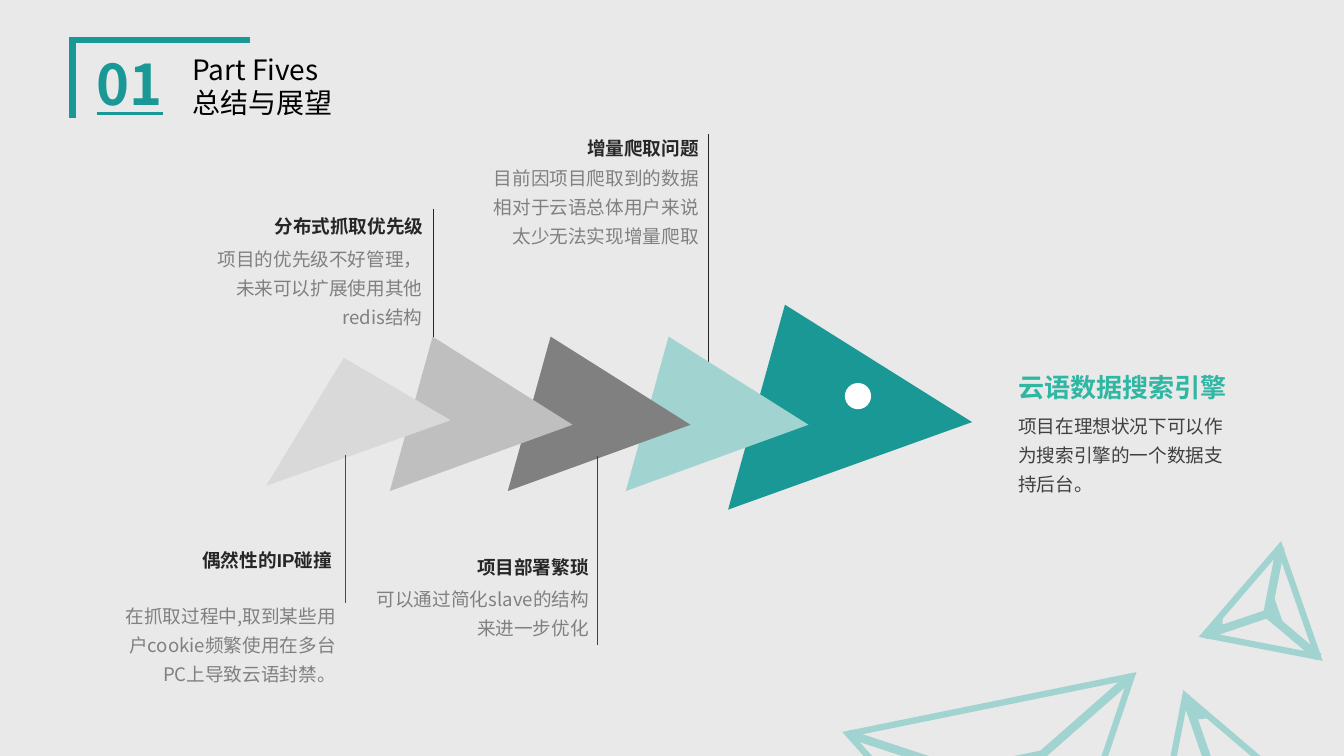
"""Builds the summary and outlook slide with five arrows and their notes."""
from lxml import etree
from pptx import Presentation
from pptx.dml.color import RGBColor
from pptx.enum.shapes import MSO_CONNECTOR, MSO_SHAPE
from pptx.enum.text import MSO_AUTO_SIZE, PP_ALIGN
from pptx.oxml.ns import qn
from pptx.util import Inches, Pt

TRIANGLE, OVAL = MSO_SHAPE.ISOSCELES_TRIANGLE, MSO_SHAPE.OVAL
STRAIGHT = MSO_CONNECTOR.STRAIGHT
GROW = MSO_AUTO_SIZE.SHAPE_TO_FIT_TEXT
LEFT, RIGHT = PP_ALIGN.LEFT, PP_ALIGN.RIGHT

SANS = "Noto Sans CJK SC"
TEAL, PALE, PAPER, INK, GREY = "1A9895", "A1D3D0", "E9E9E9", "262626", "808080"

FORMATS = {
    "number": ({"name": SANS, "size": Pt(40), "bold": True, "underline": True}, TEAL),
    "title": ({"name": SANS, "size": Pt(20)}, "000000"),
    "heading": ({"name": "Arial", "size": Pt(13.3), "bold": True}, INK),
    "note": ({"name": SANS, "size": Pt(13.3)}, GREY),
    "goal": ({"name": SANS, "size": Pt(18.6), "bold": True}, "2FB7A3"),
    "goal note": ({"name": SANS, "size": Pt(13.3)}, "404040"),
}


def rgb(code):
    """Turn a hex string into a colour."""
    return RGBColor.from_string(code)


class Canvas:
    """Holds the slide and draws each kind of element in its style."""

    def __init__(self, slide, background):
        """Keep the slide and colour its background."""
        self.slide = slide
        self.shapes = slide.shapes
        slide.background.fill.solid()
        slide.background.fill.fore_color.rgb = rgb(background)

    def paint(self, shape, fill=None, line=None, weight=0):
        """Set fill and outline and remove the shadow."""
        shape.shadow.inherit = False
        if fill:
            shape.fill.solid()
            shape.fill.fore_color.rgb = rgb(fill)
        else:
            shape.fill.background()
        if line:
            shape.line.color.rgb = rgb(line)
            shape.line.width = Pt(weight)
            outline = shape.line._get_or_add_ln()
            etree.SubElement(outline, qn("a:miter"), lim="800000")
        else:
            shape.line.fill.background()

    def preset(self, kind, box, turn=0, apex=None, **paint):
        """Add a preset shape."""
        shape = self.shapes.add_shape(kind, *map(Inches, box))
        shape.rotation = turn
        if apex is not None:
            shape.adjustments[0] = apex
        self.paint(shape, **paint)

    def outline(self, points, close=True, **paint):
        """Add a freeform through the points."""
        corners = [(Inches(x), Inches(y)) for x, y in points]
        builder = self.shapes.build_freeform(*corners[0])
        builder.add_line_segments(corners[1:], close=close)
        self.paint(builder.convert_to_shape(), **paint)

    def line(self, start, end, color, weight):
        """Add a straight line without a shadow."""
        rule = self.shapes.add_connector(STRAIGHT, *map(Inches, (*start, *end)))
        rule.line.color.rgb = rgb(color)
        rule.line.width = Pt(weight)
        etree.SubElement(rule._element.spPr, qn("a:effectLst"))

    def text(self, box, style, *lines, align=LEFT, spacing=None, wrap=True):
        """Add a text box with one paragraph a line."""
        frame = self.shapes.add_textbox(*map(Inches, box)).text_frame
        frame.word_wrap = wrap
        frame.auto_size = GROW
        values, color = FORMATS[style]
        for index, words in enumerate(lines):
            paragraph = frame.add_paragraph() if index else frame.paragraphs[0]
            paragraph.alignment = align
            if spacing:
                paragraph.line_spacing = spacing
            run = paragraph.add_run()
            run.text = words
            for key, value in values.items():
                setattr(run.font, key, value)
            run.font.color.rgb = rgb(color)
            etree.SubElement(run.font._element, qn("a:ea"), typeface=SANS)

    def crystal(self, box, turn, spokes, hub=None, tip=None):
        """Add a see-through crystal with spokes, a hub and a filled tip."""
        self.preset(TRIANGLE, box, turn, fill=PAPER, line=PALE, weight=4.5)
        for start, end in spokes:
            self.line(start, end, PALE, 6)
        if hub:
            self.preset(TRIANGLE, hub, turn, fill=PALE, line=PALE, weight=1)
        if tip:
            self.outline(tip, fill=PALE, line=PALE, weight=1)

    def issue(self, heading, heading_box, note, note_box, rule):
        """Add a heading and a note beside an upright rule."""
        x, top, bottom, color = rule
        self.line((x, top), (x, bottom), color, 0.75)
        self.text(heading_box, "heading", heading, align=RIGHT)
        self.text(note_box, "note", note, align=RIGHT, spacing=1.3)


CRYSTALS = [
    {"box": (11.23, 6.87, 1.47, 1.26), "turn": 340.7,
     "spokes": [((11.76, 6.91), (12.03, 7.69))],
     "tip": [(11.86, 7.13), (11.98, 7.12), (11.81, 6.98)]},
    {"box": (8.63, 6.97, 2.87, 2.47), "turn": 168.5,
     "spokes": [((11.22, 6.71), (9.98, 7.8)), ((8.41, 7.28), (9.99, 7.8))],
     "hub": (9.58, 7.53, 0.75, 0.23)},
    {"box": (11.84, 5.64, 1.15, 0.99), "turn": 250.8,
     "spokes": [(corner, (12.57, 6.09))
                for corner in ((11.95, 6.3), (13.08, 6.52), (12.7, 5.43))],
     "hub": (12.48, 6.02, 0.3, 0.09),
     "tip": [(12.12, 6.22), (12.12, 6.13), (12.01, 6.26)]},
]

UPPER_ISSUES = [
    ("增量爬取问题", (5.59, 1.31, 1.44, 0.34),
     "目前因项目爬取到的数据相对于云语总体用户来说太少无法实现增量爬取",
     (4.69, 1.54, 2.34, 0.97), (7.03, 1.33, 3.64, INK)),
    ("分布式抓取优先级", (2.35, 2.08, 1.95, 0.34),
     "项目的优先级不好管理，未来可以扩展使用其他redis结构",
     (1.95, 2.34, 2.34, 0.97), (4.3, 2.07, 3.54, INK)),
]
LOWER_ISSUES = [
    ("项目部署繁琐", (4.3, 5.47, 1.64, 0.34),
     "可以通过简化slave的结构来进一步优化",
     (3.6, 5.72, 2.34, 0.68), (5.93, 4.52, 6.4, "404040")),
    ("偶然性的IP碰撞", (1.74, 5.4, 1.65, 0.34),
     "在抓取过程中,取到某些用户cookie频繁使用在多台PC上导致云语封禁。",
     (1.09, 5.89, 2.34, 0.97), (3.43, 4.51, 5.98, "215968")),
]


def main():
    """Build and save the slide."""
    deck = Presentation()
    deck.slide_width, deck.slide_height = Inches(13.33), Inches(7.5)
    canvas = Canvas(deck.slides.add_slide(deck.slide_layouts[6]), PAPER)

    canvas.outline([(0.72, 1.17), (0.72, 0.4), (2.48, 0.4)], close=False,
                   line=TEAL, weight=4.5)
    for crystal in CRYSTALS:
        canvas.crystal(**crystal)
    canvas.text((0.86, 0.44, 0.95, 0.77), "number", "01")
    canvas.text((1.81, 0.47, 2.4, 0.77), "title", "Part Fives", "总结与展望")

    for issue in UPPER_ISSUES:
        canvas.issue(*issue)

    canvas.preset(TRIANGLE, (7.46, 3.27, 2.11, 2.1), 105.5, 0.297, fill=TEAL)
    for step, color in enumerate((PALE, GREY, "BFBFBF")):
        canvas.preset(TRIANGLE, (6.38 - 1.17 * step, 3.53, 1.59, 1.57),
                      105.5, 0.297, fill=color)
    canvas.outline([(3.41, 3.55), (4.47, 4.17), (2.64, 4.82)], fill="D9D9D9")
    canvas.preset(OVAL, (8.38, 3.8, 0.26, 0.26), fill="FFFFFF")

    for issue in LOWER_ISSUES:
        canvas.issue(*issue)

    canvas.text((10, 4, 2.29, 0.97), "goal note",
                "项目在理想状况下可以作为搜索引擎的一个数据支持后台。", spacing=1.3)
    canvas.text((10, 3.64, 2.28, 0.43), "goal", "云语数据搜索引擎", wrap=False)
    deck.save("out.pptx")


if __name__ == "__main__":
    main()
